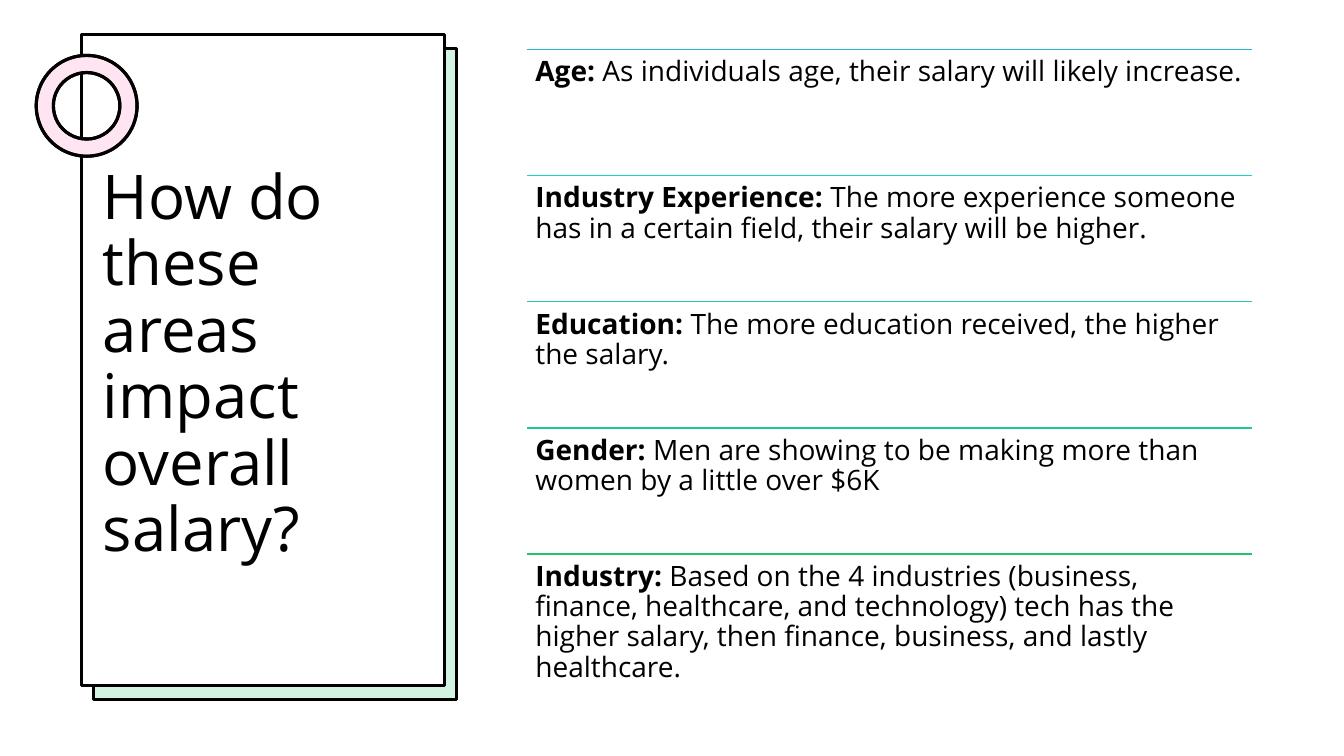
from lxml import etree
from pptx import Presentation
from pptx.dml.color import RGBColor
from pptx.enum.shapes import MSO_CONNECTOR, MSO_SHAPE
from pptx.enum.text import MSO_ANCHOR, MSO_AUTO_SIZE, PP_ALIGN
from pptx.oxml.ns import qn
from pptx.util import Inches, Pt

RECTANGLE, DONUT = MSO_SHAPE.RECTANGLE, MSO_SHAPE.DONUT
STRAIGHT = MSO_CONNECTOR.STRAIGHT
TOP, MIDDLE = MSO_ANCHOR.TOP, MSO_ANCHOR.MIDDLE
NO_AUTOFIT = MSO_AUTO_SIZE.NONE
LEFT = PP_ALIGN.LEFT

WHITE = RGBColor(0xFF, 0xFF, 0xFF)
BLACK = RGBColor(0x00, 0x00, 0x00)
GREEN = RGBColor(0x21, 0xC4, 0x6B)
PINK = RGBColor(0xFF, 0x80, 0xBD)
FONT = "Open Sans"
SLIDE_WIDTH, SLIDE_HEIGHT = 13.33, 7.5
TITLE_ONLY = 5

# Rule colour, bold label, explanation
FACTORS = [
    (RGBColor(0x1E, 0xB9, 0xD3), "Age: ",
     "As individuals age, their salary will likely increase."),
    (RGBColor(0x1F, 0xCF, 0xCA), "Industry Experience: ",
     "The more experience someone has in a certain field, their salary will be higher."),
    (RGBColor(0x20, 0xCB, 0xA9), "Education: ",
     "The more education received, the higher the salary."),
    (RGBColor(0x20, 0xC8, 0x89), "Gender: ",
     "Men are showing to be making more than women by a little over $6K"),
    (GREEN, "Industry: ",
     "Based on the 4 industries (business, finance, healthcare, and technology) "
     "tech has the higher salary, then finance, business, and lastly healthcare."),
]


def add_filled_shape(slide, kind, box, fill, opacity=100, outlined=True):
    shape = slide.shapes.add_shape(kind, *map(Inches, box))
    shape.shadow.inherit = False
    shape.fill.solid()
    shape.fill.fore_color.rgb = fill
    if opacity < 100:
        color = shape.fill._xPr.find(qn("a:solidFill"))[0]
        etree.SubElement(color, qn("a:alpha")).set("val", str(opacity * 1000))
    if outlined:
        shape.line.color.rgb = BLACK
        shape.line.width = Pt(2.25)
    else:
        shape.line.fill.background()
    return shape


def add_run(paragraph, text, size, bold=False):
    run = paragraph.add_run()
    run.text = text
    run.font.name = FONT
    run.font.size = Pt(size)
    run.font.bold = bold
    run.font.color.rgb = BLACK


def prepare_text(frame, anchor):
    frame.word_wrap = True
    frame.auto_size = NO_AUTOFIT
    frame.vertical_anchor = anchor
    paragraph = frame.paragraphs[0]
    paragraph.alignment = LEFT
    paragraph.line_spacing = 0.9
    return paragraph


def build_title_card(slide, left, top, width, height):
    # Tinted card behind, white card in front
    offset = (left + 0.12, top + 0.14, width, height)
    add_filled_shape(slide, RECTANGLE, offset, WHITE, outlined=False)
    add_filled_shape(slide, RECTANGLE, offset, GREEN, opacity=20)
    add_filled_shape(slide, RECTANGLE, (left, top, width, height), WHITE)

    # Pink ring over the card's left edge
    for fill, opacity in ((WHITE, 100), (PINK, 20)):
        ring = add_filled_shape(slide, DONUT, (left - 0.45, top + 0.21, 1, 1), fill, opacity)
        ring.adjustments[0] = 0.17

    # Title, raised above the cards
    title = slide.shapes.title
    title.left, title.top = Inches(left + 0.11), Inches(top + 0.97)
    title.width, title.height = Inches(width - 0.2), Inches(4.63)
    paragraph = prepare_text(title.text_frame, MIDDLE)
    add_run(paragraph, "How do these areas impact overall salary?", 44)
    title.element.getparent().append(title.element)


def build_factor_list(slide, left, top, width, height):
    group = slide.shapes.add_group_shape()
    row_height = height / len(FACTORS)
    for row, (color, label, explanation) in enumerate(FACTORS):
        row_top = top + row * row_height
        # Rule above the row
        rule = group.shapes.add_connector(
            STRAIGHT, Inches(left), Inches(row_top), Inches(left + width), Inches(row_top))
        rule.line.color.rgb = color
        rule.line.width = Pt(1)
        etree.SubElement(rule.element.spPr, qn("a:effectLst"))
        # Label and explanation
        box = group.shapes.add_textbox(
            Inches(left), Inches(row_top), Inches(width), Inches(row_height))
        frame = box.text_frame
        frame.margin_left = frame.margin_right = Inches(0.08)
        frame.margin_top = frame.margin_bottom = Inches(0.08)
        paragraph = prepare_text(frame, TOP)
        add_run(paragraph, label, 20, bold=True)
        add_run(paragraph, explanation, 20)


def main():
    presentation = Presentation()
    presentation.slide_width = Inches(SLIDE_WIDTH)
    presentation.slide_height = Inches(SLIDE_HEIGHT)
    slide = presentation.slides.add_slide(presentation.slide_layouts[TITLE_ONLY])
    add_filled_shape(slide, RECTANGLE, (0, 0, SLIDE_WIDTH, SLIDE_HEIGHT), WHITE, outlined=False)
    build_title_card(slide, 0.81, 0.34, 3.6, 6.46)
    build_factor_list(slide, 5.23, 0.49, 7.19, 6.26)
    presentation.save("out.pptx")


if __name__ == "__main__":
    main()
